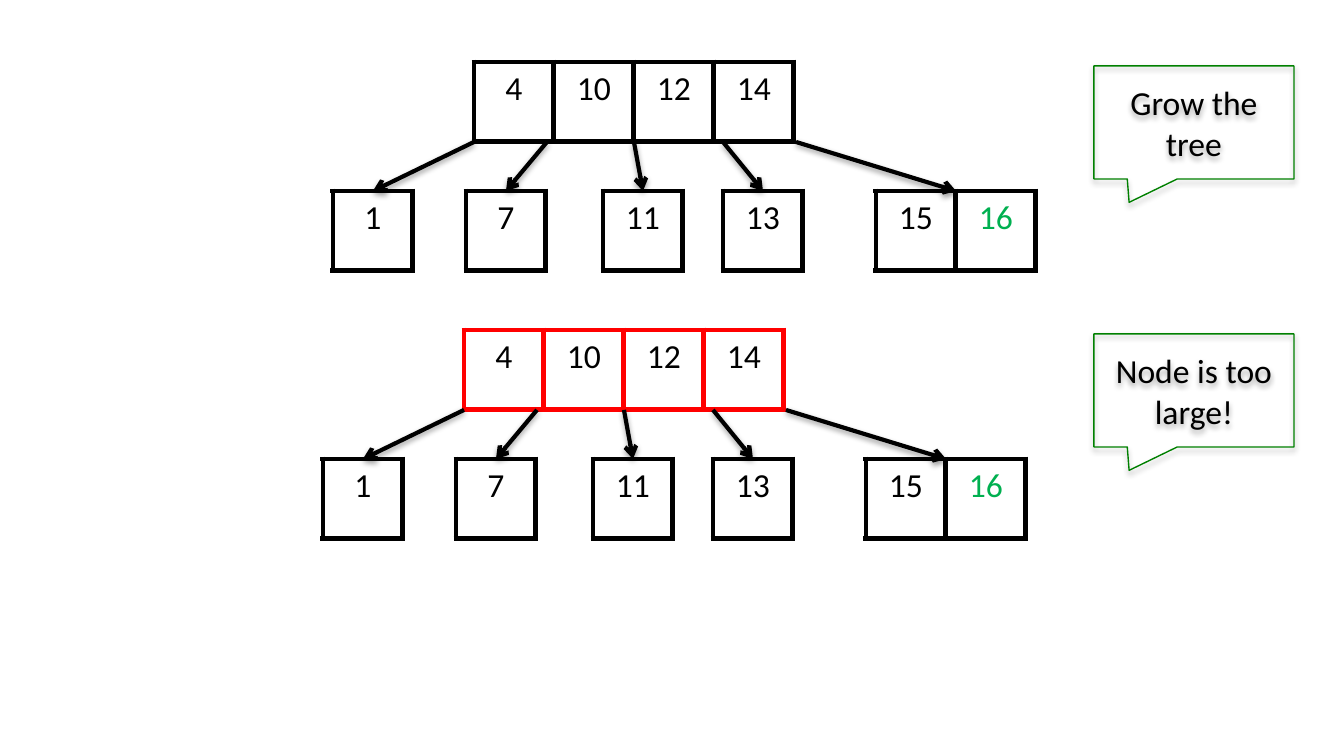
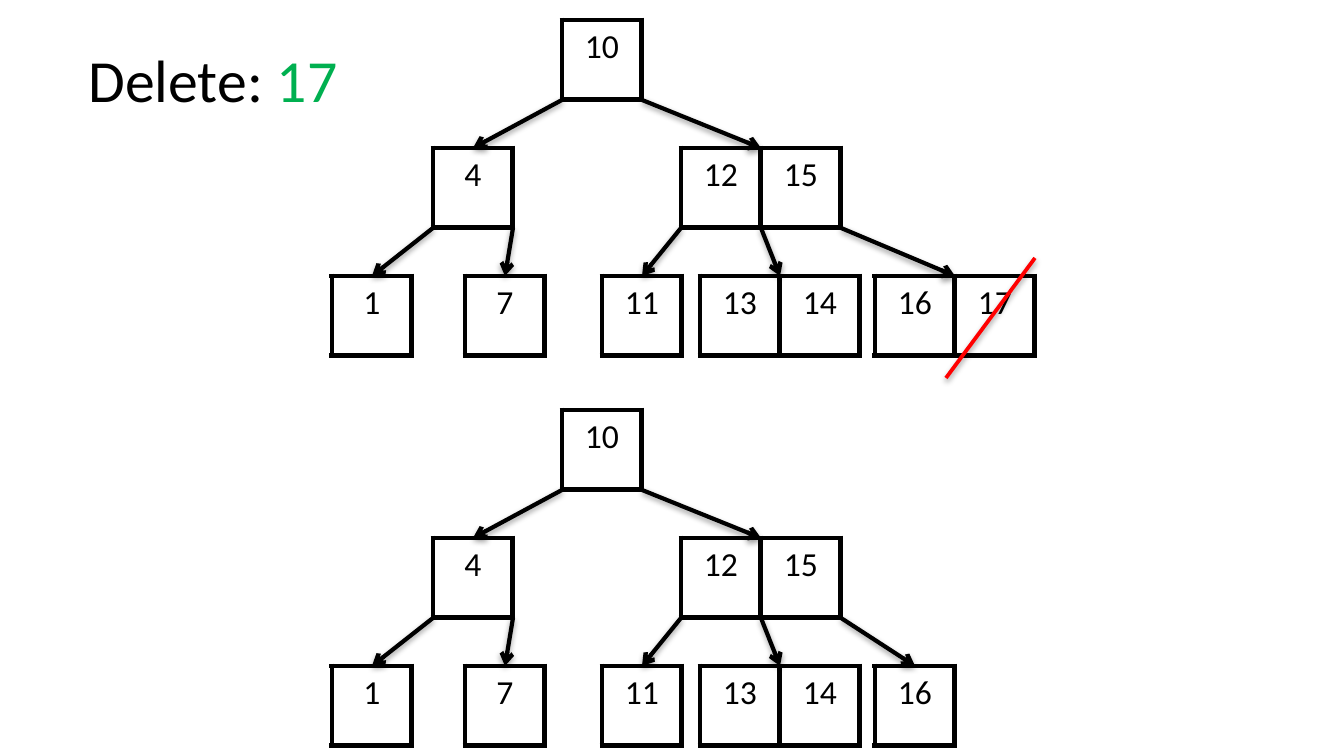
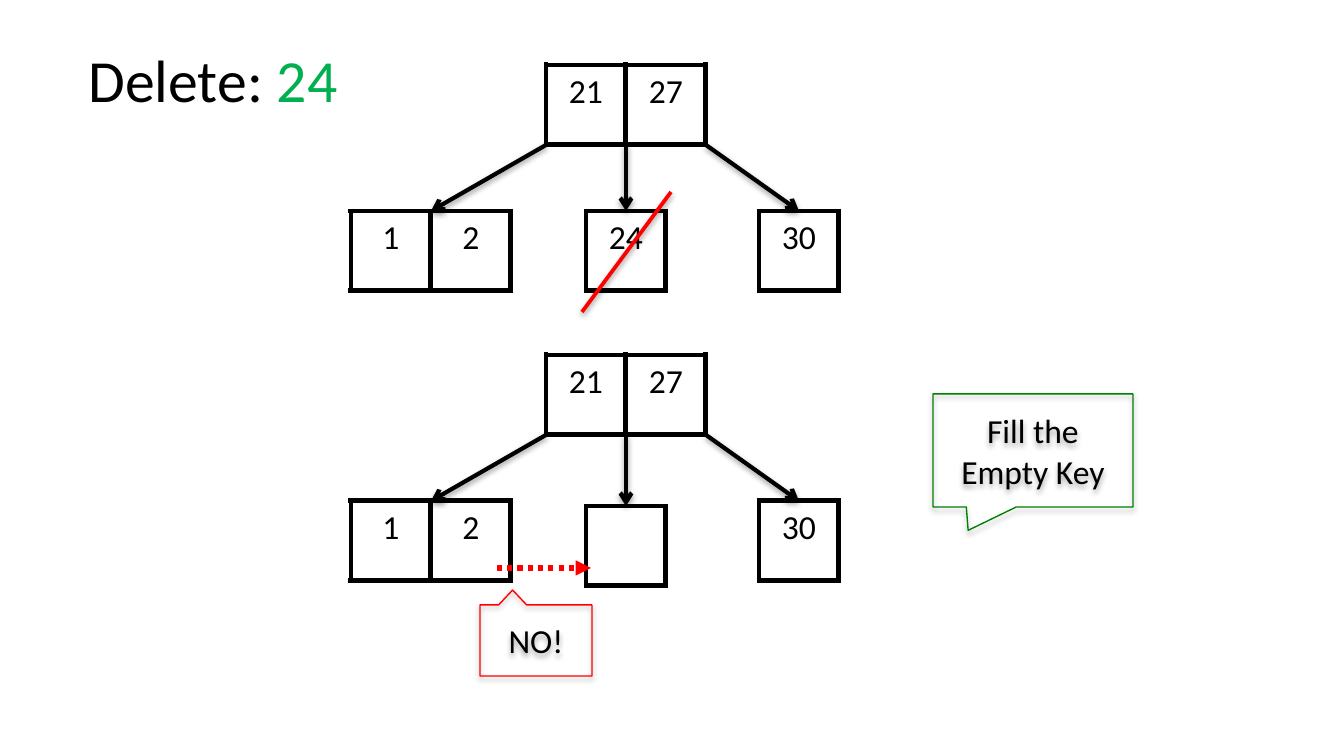
from dataclasses import dataclass, replace

from lxml.etree import SubElement
from pptx import Presentation
from pptx.dml.color import RGBColor
from pptx.enum.dml import MSO_LINE_DASH_STYLE as Dash
from pptx.enum.shapes import MSO_CONNECTOR, MSO_SHAPE
from pptx.enum.text import MSO_ANCHOR, MSO_AUTO_SIZE, PP_ALIGN
from pptx.oxml.ns import qn
from pptx.util import Emu, Pt

BLACK = RGBColor(0x00, 0x00, 0x00)
RED = RGBColor(0xFF, 0x00, 0x00)
DARK_GREEN = RGBColor(0x00, 0x80, 0x00)
KEY_GREEN = RGBColor(0x00, 0xB0, 0x50)
FONT = "Calibri"

PX_PER_INCH = 134.4
CELL = 80
STRIKE_WIDTH, STRIKE_HEIGHT = 89, 120
TITLE_BOX = (75, 36, 319, 86)
NOTE_SIZE = (200, 113)
NOTE_TIP = (-0.324, 0.707)


@dataclass
class Node:
    """A B-tree node; "|" in keys splits it into adjoining tables."""
    left: int
    keys: str
    children: tuple = ()
    new_key: str = ""
    outline: RGBColor = BLACK
    link_shift: int = 0  # moves the start of the arrow from the parent
    drop: int = 0        # extra distance below the row

    def groups(self):
        return [group.split() or [""] for group in self.keys.split("|")]

    def width(self):
        return CELL * sum(len(group) for group in self.groups())


GROWN = Node(474, "4 10 12|14", (
    Node(333, "1"),
    Node(466, "7", link_shift=-7),
    Node(603, "11"),
    Node(723, "13", link_shift=9),
    Node(876, "15 16", new_key="16", link_shift=2),
))


def three_levels(last_keys):
    return Node(562, "10", (
        Node(433, "4", (Node(332, "1"), Node(465, "7"))),
        Node(681, "12 15", (Node(602, "11"), Node(700, "13 14"),
                            Node(875, last_keys))),
    ))


def two_levels(middle):
    return Node(546, "21 27", (Node(351, "1 2"), middle, Node(759, "30")))


# trees: (shift right, top, root); notes: (left, top, size, tip, colour, text)
SLIDES = [
    dict(row_pitch=129,
         trees=[(0, 62, GROWN), (-10, 330, replace(GROWN, outline=RED))],
         notes=[(1094, 66, NOTE_SIZE, NOTE_TIP, DARK_GREEN, "Grow the tree"),
                (1094, 334, NOTE_SIZE, NOTE_TIP, DARK_GREEN,
                 "Node is too large!")]),
    dict(deleted="17", row_pitch=128,
         trees=[(0, 20, three_levels("16 17")), (0, 410, three_levels("16"))],
         strike=(946, 378)),
    dict(deleted="24", row_pitch=146,
         trees=[(0, 65, two_levels(Node(586, "24"))),
                (0, 355, two_levels(Node(586, "", drop=5)))],
         strike=(582, 312),
         wrong_move=(497, 568, 591, 568),
         notes=[(933, 394, NOTE_SIZE, NOTE_TIP, DARK_GREEN,
                 "Fill the Empty Key"),
                (480, 605, (112, 71), (-0.209, -0.71), RED, "NO!")]),
]


def px(*lengths):
    return [Emu(round(length * 914400 / PX_PER_INCH)) for length in lengths]


def style(span, size, color=BLACK):
    span.font.name = FONT
    span.font.size = Pt(size)
    span.font.color.rgb = color


def add_shadow(effects, distance, opacity):
    shadow = SubElement(effects, qn("a:outerShdw"), blurRad="40000",
                        dist=str(distance), dir="5400000", rotWithShape="0")
    color = SubElement(shadow, qn("a:srgbClr"), val=str(BLACK))
    SubElement(color, qn("a:alpha"), val=str(opacity * 1000))


def add_line(slide, ends, color=BLACK, width=2.25, head=None, dash=None,
             shadow=True):
    connector = slide.shapes.add_connector(MSO_CONNECTOR.STRAIGHT, *px(*ends))
    connector.line.color.rgb = color
    connector.line.width = Pt(width)
    if dash:
        connector.line.dash_style = dash
    properties = connector._element.spPr
    if head:
        SubElement(properties.find(qn("a:ln")), qn("a:tailEnd"), type=head)
    effects = SubElement(properties, qn("a:effectLst"))
    if shadow:
        add_shadow(effects, 20000, 38)


def add_cells(slide, left, top, keys, node):
    frame = slide.shapes.add_table(
        1, len(keys), *px(left, top, CELL * len(keys), CELL))
    table = frame.table
    table.first_row = table.horz_banding = False
    for cell, key in zip(table.iter_cells(), keys):
        properties = cell._tc.get_or_add_tcPr()
        for side in ("lnL", "lnR", "lnT", "lnB"):
            border = SubElement(properties, qn("a:" + side), w=str(Pt(3)))
            fill = SubElement(border, qn("a:solidFill"))
            SubElement(fill, qn("a:srgbClr"), val=str(node.outline))
        cell.fill.background()
        para = cell.text_frame.paragraphs[0]
        para.text = key
        para.alignment = PP_ALIGN.CENTER
        for span in para.runs:
            style(span, 18, KEY_GREEN if key == node.new_key else BLACK)


def add_tree(slide, node, shift, top, row_pitch):
    left = node.left + shift
    group_left = left
    for keys in node.groups():
        add_cells(slide, group_left, top, keys, node)
        group_left += CELL * len(keys)
    for slot, child in enumerate(node.children):
        child_top = top + row_pitch + child.drop
        add_tree(slide, child, shift, child_top, row_pitch)
        start = left + slot * CELL + child.link_shift
        middle = child.left + shift + child.width() / 2
        add_line(slide, (start, top + CELL, middle, child_top), head="arrow")


def add_note(slide, left, top, size, tip, color, text):
    note = slide.shapes.add_shape(MSO_SHAPE.RECTANGULAR_CALLOUT,
                                  *px(left, top, *size))
    for index, value in enumerate(tip):
        note.adjustments[index] = value
    note.fill.background()
    note.line.color.rgb = color
    note.line.width = Pt(0.75)
    note.shadow.inherit = False
    add_shadow(note._element.spPr.find(qn("a:effectLst")), 23000, 35)
    frame = note.text_frame
    frame.word_wrap = True
    frame.vertical_anchor = MSO_ANCHOR.MIDDLE
    frame.text = text
    para = frame.paragraphs[0]
    para.alignment = PP_ALIGN.CENTER
    style(para.runs[0], 18)


def set_title(slide, key):
    title = slide.shapes.title
    title.left, title.top, title.width, title.height = px(*TITLE_BOX)
    frame = title.text_frame
    frame.word_wrap = True
    frame.auto_size = MSO_AUTO_SIZE.NONE
    frame.vertical_anchor = MSO_ANCHOR.TOP
    para = frame.paragraphs[0]
    para.alignment = PP_ALIGN.LEFT
    for text, color in (("Delete: ", BLACK), (key, KEY_GREEN)):
        span = para.add_run()
        span.text = text
        style(span, 32, color)


def add_page(deck, content):
    deleted = content.get("deleted")
    title_only, blank = deck.slide_layouts[5], deck.slide_layouts[6]
    page = deck.slides.add_slide(title_only if deleted else blank)
    if deleted:
        set_title(page, deleted)
    for shift, top, root in content["trees"]:
        add_tree(page, root, shift, top, content["row_pitch"])
    if "strike" in content:
        x, y = content["strike"]
        add_line(page, (x, y, x + STRIKE_WIDTH, y - STRIKE_HEIGHT), RED, 2)
    if "wrong_move" in content:
        add_line(page, content["wrong_move"], RED, 2.75, "triangle",
                 Dash.ROUND_DOT, shadow=False)
    for note in content.get("notes", ()):
        add_note(page, *note)


def main():
    deck = Presentation()
    deck.slide_width, deck.slide_height = px(1344, 756)
    for content in SLIDES:
        add_page(deck, content)
    deck.save("out.pptx")


if __name__ == "__main__":
    main()
